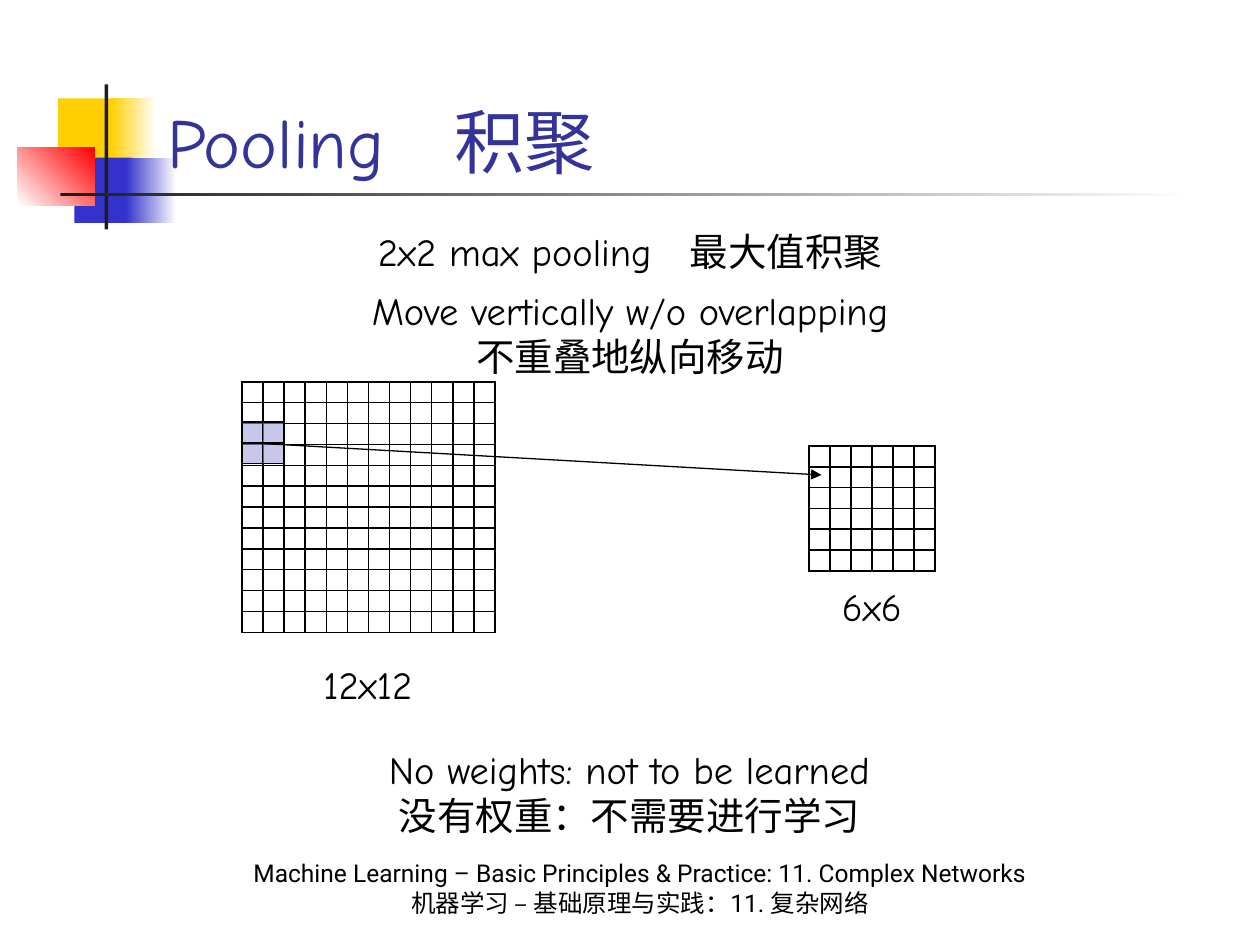
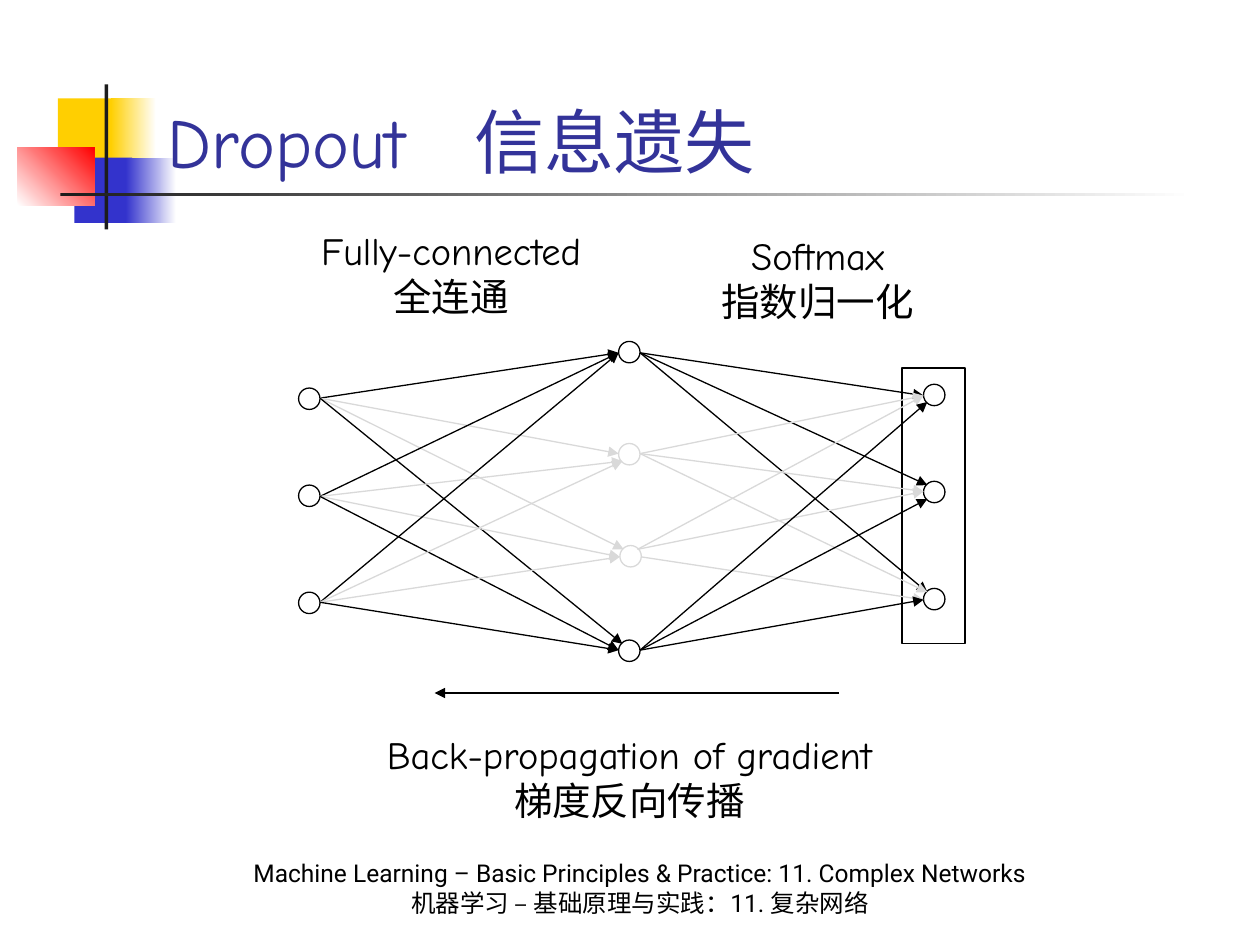
from dataclasses import dataclass
from typing import Any

import lxml.etree
import pptx
import pptx.dml.color
import pptx.enum.shapes
import pptx.enum.text
import pptx.oxml.ns
import pptx.util

EMU_PER_PX = 9144  # 100 px to the inch
BLACK, WHITE, DARK, FADED = "000000", "FFFFFF", "1C1C1C", "D9D9D9"
YELLOW, BLUE, RED = "FFCF01", "3333CC", "FF0000"
TITLE_BLUE, WINDOW_BLUE = "333399", "A3A3E0"
HAND_FONT, FOOTER_FONT = "Comic Neue", "Roboto"
LINE_PT = 0.75
NODE_SIZE = 17

SHAPE = pptx.enum.shapes.MSO_SHAPE
ANCHOR = pptx.enum.text.MSO_ANCHOR
ALIGN = pptx.enum.text.PP_ALIGN
AUTO_SIZE = pptx.enum.text.MSO_AUTO_SIZE

# Places where an arrow meets a node, as shares of its box
SITES = {"L": (0, 0.5), "TL": (0.15, 0.15), "BL": (0.15, 0.85),
         "R": (1, 0.5), "TR": (0.85, 0.15)}


@dataclass
class Box:
    left: int
    top: int
    width: int
    height: int

    def emu(self) -> list[int]:
        return [px(v) for v in (self.left, self.top, self.width, self.height)]


@dataclass
class Band:
    box: Box
    start: str
    end: str | None = None
    angle: int = 0


@dataclass
class Caption:
    box: Box
    lines: list[str]
    size: int = 22
    font: str = HAND_FONT
    anchor: Any = ANCHOR.TOP
    auto_size: Any = AUTO_SIZE.SHAPE_TO_FIT_TEXT


@dataclass
class Grid:
    box: Box
    count: int
    color: str = WHITE


@dataclass
class Node:
    left: int
    top: int
    dropped: bool = False

    def site(self, name: str) -> tuple[int, int]:
        across, down = SITES[name]
        return (round(self.left + across * NODE_SIZE),
                round(self.top + down * NODE_SIZE))


@dataclass
class Link:
    source: int
    target: int
    end: str = "L"
    begin: str = "R"


BANDS = [
    Band(Box(46, 78, 48, 52), YELLOW),
    Band(Box(88, 78, 36, 52), YELLOW, WHITE),
    Band(Box(59, 125, 46, 52), BLUE),
    Band(Box(100, 125, 40, 52), BLUE, WHITE),
    Band(Box(14, 117, 61, 46), WHITE, RED, 45),
    Band(Box(83, 67, 3, 115), DARK),
    Band(Box(48, 153, 900, 3), DARK, WHITE),
]
TITLE_BOX = Box(123, 50, 852, 100)
FOOTER = Caption(
    Box(83, 683, 850, 50),
    ["Machine Learning – Basic Principles & Practice: 11. Complex Networks",
     "机器学习 – 基础原理与实践：11. 复杂网络"],
    14, FOOTER_FONT, ANCHOR.BOTTOM, AUTO_SIZE.NONE)

POOLING_CAPTIONS = [
    Caption(Box(175, 176, 650, 47), ["2x2 max pooling　最大值积聚"]),
    Caption(Box(175, 223, 650, 84),
            ["Move vertically w/o overlapping", "不重叠地纵向移动"]),
    Caption(Box(229, 520, 126, 47), ["12x12"]),
    Caption(Box(629, 458, 126, 47), ["6x6"]),
    Caption(Box(106, 587, 787, 84),
            ["No weights: not to be learned", "没有权重：不需要进行学习"]),
]
POOLING_GRIDS = [
    Grid(Box(192, 303, 201, 199), 12),
    Grid(Box(192, 335, 33, 33), 2, WINDOW_BLUE),
    Grid(Box(642, 354, 100, 99), 6),
]

DROPOUT_CAPTIONS = [
    Caption(Box(235, 575, 529, 84),
            ["Back-propagation of gradient", "梯度反向传播"]),
    Caption(Box(225, 175, 266, 84), ["Fully-connected", "全连通"]),
    Caption(Box(516, 179, 266, 84), ["Softmax", "指数归一化"]),
]
INPUTS = [Node(237, top) for top in (308, 385, 470)]
HIDDEN = [Node(491, 271), Node(491, 352, True),
          Node(492, 433, True), Node(491, 508)]
OUTPUTS = [Node(733, top) for top in (305, 382, 467)]
SOFTMAX_BOX = Box(716, 292, 50, 219)
INPUT_LINKS = [
    Link(0, 0), Link(0, 1), Link(0, 2, "TL"), Link(0, 3, "TL"),
    Link(1, 0), Link(1, 1, "BL"), Link(1, 2), Link(1, 3),
    Link(2, 0), Link(2, 1, "BL"), Link(2, 2), Link(2, 3),
]
OUTPUT_LINKS = [
    Link(0, 0), Link(0, 1, "TL"), Link(0, 2, "TL"),
    Link(1, 0), Link(1, 1), Link(1, 2, "TL"),
    Link(2, 0, begin="TR"), Link(2, 1, begin="TR"), Link(2, 2),
    Link(3, 0, "BL"), Link(3, 1, "BL"), Link(3, 2),
]


def px(value: float) -> int:
    return round(value * EMU_PER_PX)


def rgb(color: str) -> pptx.dml.color.RGBColor:
    return pptx.dml.color.RGBColor.from_string(color)


def set_format(target: Any, values: dict[str, Any]) -> None:
    for name, value in values.items():
        setattr(target, name, value)


def add_xml(parent: Any, tag: str, **attributes: str) -> Any:
    return lxml.etree.SubElement(parent, pptx.oxml.ns.qn(tag), attributes)


def write_lines(frame: Any, lines: list[str], size: int, font: str,
                color: str, alignment: Any) -> None:
    frame.text = "\n".join(lines)
    for paragraph in frame.paragraphs:
        paragraph.alignment = alignment
        for run in paragraph.runs:
            set_format(run.font, {"size": pptx.util.Pt(size), "name": font})
            run.font.color.rgb = rgb(color)


def add_caption(slide: Any, caption: Caption) -> None:
    frame = slide.shapes.add_textbox(*caption.box.emu()).text_frame
    set_format(frame, {"word_wrap": True, "auto_size": caption.auto_size,
                       "vertical_anchor": caption.anchor})
    write_lines(frame, caption.lines, caption.size, caption.font, BLACK,
                ALIGN.CENTER)


def add_outline(slide: Any, kind: Any, box: Box, line: str,
                fill: str | None = None) -> None:
    shape = slide.shapes.add_shape(kind, *box.emu())
    shape.shadow.inherit = False
    shape.line.color.rgb = rgb(line)
    shape.line.width = pptx.util.Pt(LINE_PT)
    if fill:
        shape.fill.solid()
        shape.fill.fore_color.rgb = rgb(fill)
    else:
        shape.fill.background()


def add_arrow(slide: Any, begin: tuple[int, int], end: tuple[int, int],
              color: str = BLACK) -> None:
    arrow = slide.shapes.add_connector(
        pptx.enum.shapes.MSO_CONNECTOR.STRAIGHT,
        *[px(v) for v in begin + end])
    arrow.line.color.rgb = rgb(color)
    arrow.line.width = pptx.util.Pt(LINE_PT)
    add_xml(arrow.line._get_or_add_ln(), "a:tailEnd", type="triangle")
    add_xml(arrow.element.spPr, "a:effectLst")


def format_cell(cell: Any, color: str) -> None:
    """Give an empty cell a 60% fill, black borders and text small enough to fit."""
    set_format(cell, dict.fromkeys(
        ("margin_left", "margin_right", "margin_top", "margin_bottom"), 0))
    add_xml(cell.text_frame.paragraphs[0]._p, "a:endParaRPr", sz="600")
    cell.fill.solid()
    cell.fill.fore_color.rgb = rgb(color)
    properties = cell._tc.get_or_add_tcPr()
    add_xml(properties.find(".//" + pptx.oxml.ns.qn("a:srgbClr")),
            "a:alpha", val="60000")
    for position, side in enumerate(("a:lnL", "a:lnR", "a:lnT", "a:lnB")):
        border = add_xml(properties, side, w=str(pptx.util.Pt(1)))
        add_xml(add_xml(border, "a:solidFill"), "a:srgbClr", val=BLACK)
        properties.insert(position, border)


def add_grid(slide: Any, grid: Grid) -> None:
    table = slide.shapes.add_table(grid.count, grid.count,
                                   *grid.box.emu()).table
    set_format(table, {"first_row": False, "horz_banding": False})
    for column in table.columns:
        column.width = px(grid.box.width / grid.count)
    for row in table.rows:
        row.height = px(grid.box.height / grid.count)
    for cell in table.iter_cells():
        format_cell(cell, grid.color)


def add_nodes(slide: Any, nodes: list[Node]) -> None:
    for node in nodes:
        add_outline(slide, SHAPE.OVAL,
                    Box(node.left, node.top, NODE_SIZE, NODE_SIZE),
                    FADED if node.dropped else BLACK, WHITE)


def add_links(slide: Any, sources: list[Node], targets: list[Node],
              links: list[Link]) -> None:
    for link in links:
        source, target = sources[link.source], targets[link.target]
        add_arrow(slide, source.site(link.begin), target.site(link.end),
                  FADED if source.dropped or target.dropped else BLACK)


def move_bands_to_layout(slide: Any) -> None:
    """Draw the bands and hand them to the layout, behind every slide's title."""
    for band in BANDS:
        shape = slide.shapes.add_shape(SHAPE.RECTANGLE, *band.box.emu())
        shape.shadow.inherit = False
        shape.line.fill.background()
        if band.end:
            shape.fill.gradient()
            shape.fill.gradient_angle = band.angle
            for stop, color in zip(shape.fill.gradient_stops,
                                   (band.start, band.end)):
                stop.color.rgb = rgb(color)
        else:
            shape.fill.solid()
            shape.fill.fore_color.rgb = rgb(band.start)
        slide.slide_layout.shapes.element.append(shape.element)


def add_titled_slide(deck: Any, heading: str, captions: list[Caption]) -> Any:
    slide = deck.slides.add_slide(deck.slide_layouts[5])
    title = slide.shapes.title
    set_format(title, dict(zip(("left", "top", "width", "height"),
                               TITLE_BOX.emu())))
    set_format(title.text_frame, {"word_wrap": True,
                                  "auto_size": AUTO_SIZE.NONE,
                                  "vertical_anchor": ANCHOR.BOTTOM})
    write_lines(title.text_frame, [heading], 40, HAND_FONT, TITLE_BLUE,
                ALIGN.LEFT)
    for caption in [FOOTER, *captions]:
        add_caption(slide, caption)
    return slide


def main() -> None:
    deck = pptx.Presentation()
    deck.slide_width, deck.slide_height = px(1000), px(750)

    pooling = add_titled_slide(deck, "Pooling　积聚", POOLING_CAPTIONS)
    move_bands_to_layout(pooling)
    for grid in POOLING_GRIDS:
        add_grid(pooling, grid)
    add_arrow(pooling, (208, 352), (652, 377))

    dropout = add_titled_slide(deck, "Dropout　信息遗失", DROPOUT_CAPTIONS)
    add_nodes(dropout, INPUTS + HIDDEN)
    add_links(dropout, INPUTS, HIDDEN, INPUT_LINKS)
    add_outline(dropout, SHAPE.RECTANGLE, SOFTMAX_BOX, BLACK)
    add_nodes(dropout, OUTPUTS)
    add_links(dropout, HIDDEN, OUTPUTS, OUTPUT_LINKS)
    add_arrow(dropout, (666, 550), (345, 550))

    deck.save("out.pptx")


if __name__ == "__main__":
    main()
